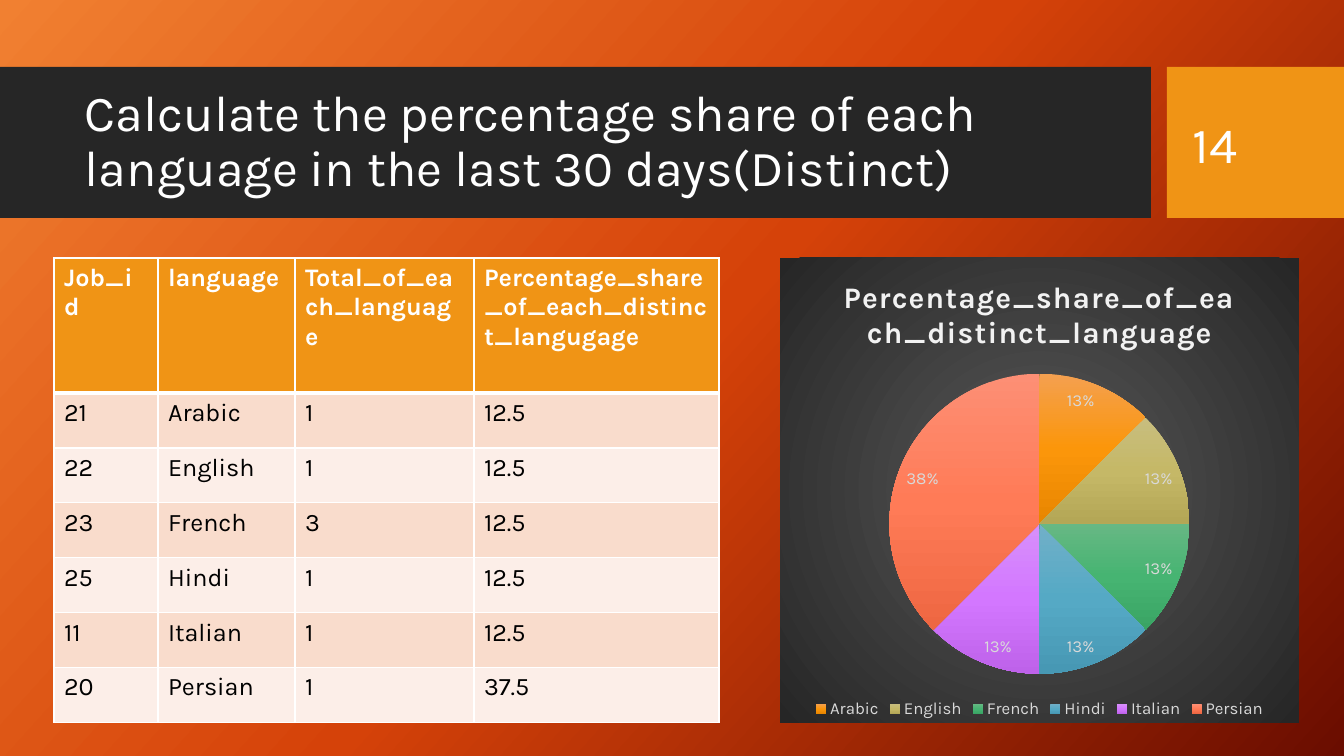
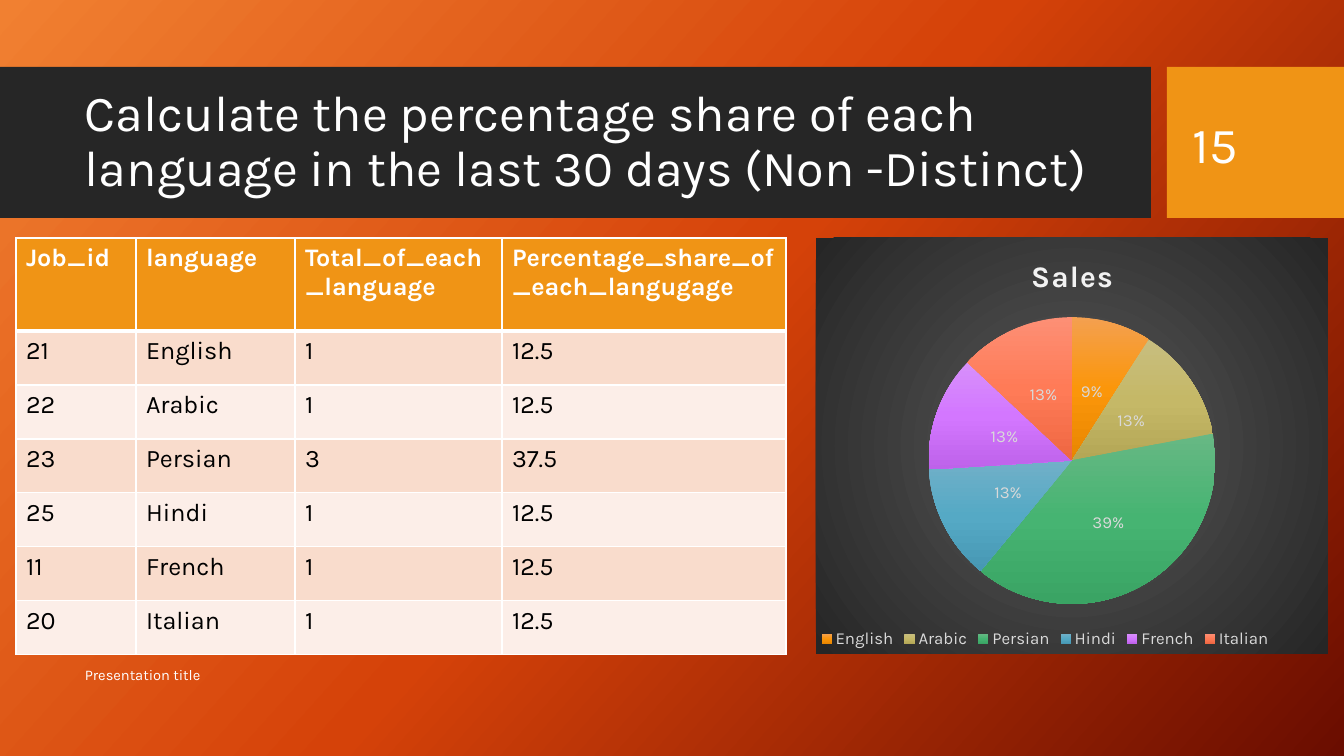
from lxml import etree
from pptx import Presentation
from pptx.chart.data import CategoryChartData
from pptx.dml.color import RGBColor
from pptx.enum.chart import XL_CHART_TYPE as CT, XL_LABEL_POSITION as LP, XL_LEGEND_POSITION as LG
from pptx.enum.shapes import MSO_SHAPE as MS
from pptx.enum.text import MSO_ANCHOR as MA
from pptx.oxml.ns import qn
from pptx.util import Pt

SCALE = 12192000 / 1344
FONT = "Karla"
WHITE = RGBColor(0xFF, 0xFF, 0xFF)
BLACK = RGBColor(0, 0, 0)
CHARCOAL = RGBColor(0x26, 0x26, 0x26)
SLATE = RGBColor(0x59, 0x59, 0x59)
AMBER = RGBColor(0xF0, 0x94, 0x15)
PEACH = RGBColor(0xF9, 0xDC, 0xCC)
CREAM = RGBColor(0xFC, 0xEE, 0xE8)
SILVER = RGBColor(0xD9, 0xD9, 0xD9)
PALE = RGBColor(0xF2, 0xF2, 0xF2)
BACKDROP = [RGBColor.from_string(c) for c in ("F18031", "D54209", "6A0D00")]
WEDGES = [[RGBColor.from_string(c) for c in row.split()] for row in (
    "F4A050 FB960A E88600",
    "C8BE7F C5B867 B4A756",
    "67B884 46B472 3AA464",
    "71B0C8 55A9C5 4798B4",
    "D790FB D377FF BE62EA",
    "FD8F75 FF7B57 EE6742",
)]


def px(n):
    return round(n * SCALE)


def emu(box):
    return [px(n) for n in box]


def set_font(font, size, color, bold=False):
    font.name = FONT
    font.size = Pt(size)
    font.bold = bold
    font.color.rgb = color


def gradient(colors, angle=None):
    grad = etree.Element(qn("a:gradFill"), rotWithShape="1")
    stops = etree.SubElement(grad, qn("a:gsLst"))
    for i, color in enumerate(colors):
        stop = etree.SubElement(stops, qn("a:gs"), pos=str(100000 * i // (len(colors) - 1)))
        etree.SubElement(stop, qn("a:srgbClr"), val=str(color))
    if angle is None:
        circle = etree.SubElement(grad, qn("a:path"))
        circle.set("path", "circle")
        etree.SubElement(circle, qn("a:fillToRect"), l="50000", t="50000", r="50000", b="50000")
    else:
        etree.SubElement(grad, qn("a:lin"), ang=str(angle * 60000), scaled="0")
    return grad


def swap_solid(element, grad):
    solid = element.find(".//" + qn("a:solidFill"))
    solid.getparent().replace(solid, grad)


def place_part(element, index, settings):
    for old in element.findall(qn("c:layout")):
        element.remove(old)
    layout = etree.Element(qn("c:layout"))
    manual = etree.SubElement(layout, qn("c:manualLayout"))
    for tag, value in settings.items():
        etree.SubElement(manual, qn("c:" + tag), val=str(value))
    element.insert(index, layout)


def add_band(slide, box, color):
    sp = slide.shapes.add_shape(MS.RECTANGLE, *emu(box))
    sp.shadow.inherit = False
    sp.fill.solid()
    sp.fill.fore_color.rgb = color
    sp.line.fill.background()


def add_text(slide, box, text, size, spacing=None):
    tf = slide.shapes.add_textbox(*emu(box)).text_frame
    tf.word_wrap = True
    tf.vertical_anchor = MA.MIDDLE
    p = tf.paragraphs[0]
    p.text = text
    p.line_spacing = spacing
    set_font(p.font, size, WHITE)


def add_header(slide, title, number):
    add_band(slide, (0, 67, 1151, 151), CHARCOAL)
    add_band(slide, (1167, 67, 177, 151), AMBER)
    add_text(slide, (75, 83, 1060, 119), title, 36, 0.9)
    add_text(slide, (1183, 83, 127, 120), str(number), 36)


def set_borders(cell, top, bottom):
    tc_pr = cell._tc.get_or_add_tcPr()
    for i, (side, width) in enumerate((("L", 1), ("R", 1), ("T", top), ("B", bottom))):
        ln = etree.Element(qn("a:ln" + side), w=str(Pt(width)))
        fill = etree.SubElement(ln, qn("a:solidFill"))
        etree.SubElement(fill, qn("a:srgbClr"), val=str(WHITE))
        tc_pr.insert(i, ln)


def add_language_table(slide, left, top, widths, header_height, row_height, rows):
    height = header_height + row_height * (len(rows) - 1)
    box = emu((left, top, sum(widths), height))
    table = slide.shapes.add_table(len(rows), len(widths), *box).table
    for column, width in zip(table.columns, widths):
        column.width = px(width)
    for i, values in enumerate(rows):
        header = i == 0
        table.rows[i].height = px(header_height if header else row_height)
        for cell, value in zip(table.rows[i].cells, values):
            cell.fill.solid()
            cell.fill.fore_color.rgb = AMBER if header else PEACH if i % 2 else CREAM
            p = cell.text_frame.paragraphs[0]
            p.text = value
            set_font(p.font, 18, WHITE if header else BLACK, header)
            set_borders(cell, 3 if i == 1 else 1, 3 if header else 1)


def add_share_pie(slide, box, title, series, shares, position):
    data = CategoryChartData()
    data.categories = list(shares)
    data.add_series(series, list(shares.values()))
    chart = slide.shapes.add_chart(CT.PIE, *emu(box), data).chart
    set_font(chart.font, 10, WHITE)

    chart.has_title = True
    p = chart.chart_title.text_frame.paragraphs[0]
    p.text = title
    set_font(p.font, 21.3, PALE, True)
    p.font._element.set("spc", "100")
    chart.chart_title.include_in_layout = False

    chart.has_legend = True
    chart.legend.position = LG.BOTTOM
    chart.legend.include_in_layout = False
    set_font(chart.legend.font, 12, SILVER)

    plot = chart.plots[0]
    plot.vary_by_categories = True
    plot.has_data_labels = True
    labels = plot.data_labels
    labels.show_percentage = True
    labels.show_value = False
    labels.number_format = "0%"
    labels.number_format_is_linked = False
    labels.position = position
    set_font(labels.font, 12, SILVER)

    for i, colors in enumerate(WEDGES):
        point = plot.series[0].points[i]
        point.format.fill.solid()
        point.format.fill.fore_color.rgb = colors[1]
        point.format.line.fill.background()
    for wedge, colors in zip(chart.element.iter(qn("c:dPt")), WEDGES):
        swap_solid(wedge, gradient(colors, 90))

    sp_pr = etree.Element(qn("c:spPr"))
    sp_pr.append(gradient([SLATE, CHARCOAL]))
    ln = etree.SubElement(sp_pr, qn("a:ln"))
    etree.SubElement(ln, qn("a:noFill"))
    chart.element.find(qn("c:chart")).addnext(sp_pr)
    return chart


def language_rows(last_heading, languages, shares):
    ids = ("21", "22", "23", "25", "11", "20")
    totals = ("1", "1", "3", "1", "1", "1")
    heading = ("Job_id", "language", "Total_of_each_language", last_heading)
    return [heading, *zip(ids, languages, totals, shares)]


def build_distinct(slide):
    add_header(slide, "Calculate the percentage share of each language in the last 30 days(Distinct)", 14)
    languages = ("Arabic", "English", "French", "Hindi", "Italian", "Persian")
    shares = ("12.5",) * 5 + ("37.5",)
    rows = language_rows("Percentage_share_of_each_distinct_langugage", languages, shares)
    add_language_table(slide, 54, 258, (104, 137, 179, 245), 135, 55, rows)
    add_share_pie(slide, (780, 258, 519, 465), "Percentage_share_of_each_distinct_language",
                  "Series 1", dict(zip(languages, (13, 13, 13, 13, 13, 39))), LP.INSIDE_END)


def build_non_distinct(slide):
    add_header(slide, "Calculate the percentage share of each language in the last 30 days (Non -Distinct)", 15)
    add_text(slide, (75, 655, 757, 40), "Presentation title", 10.5)
    languages = ("English", "Arabic", "Persian", "Hindi", "French", "Italian")
    shares = ("12.5", "12.5", "37.5", "12.5", "12.5", "12.5")
    rows = language_rows("Percentage_share_of_each_langugage", languages, shares)
    add_language_table(slide, 16, 238, (120, 159, 207, 284), 93, 54, rows)
    chart = add_share_pie(slide, (816, 238, 512, 416), "Sales", "Sales",
                          dict(zip(languages, (9, 13, 39, 13, 13, 13))), LP.CENTER)
    place_part(chart.element.find(".//" + qn("c:legend")), 1,
               {"xMode": "edge", "yMode": "edge", "x": 0, "y": 0.93})
    place_part(chart.element.find(".//" + qn("c:plotArea")), 0,
               {"layoutTarget": "inner", "xMode": "edge", "yMode": "edge",
                "x": 0.22, "y": 0.19, "w": 0.56, "h": 0.69})


prs = Presentation()
prs.slide_width, prs.slide_height = px(1344), px(756)
master = prs.slide_master
master.background.fill.solid()
master.background.fill.fore_color.rgb = BACKDROP[1]
swap_solid(master.element.find(".//" + qn("p:bg")), gradient(BACKDROP, 42))
for build in (build_distinct, build_non_distinct):
    build(prs.slides.add_slide(prs.slide_layouts[6]))
prs.save("out.pptx")
